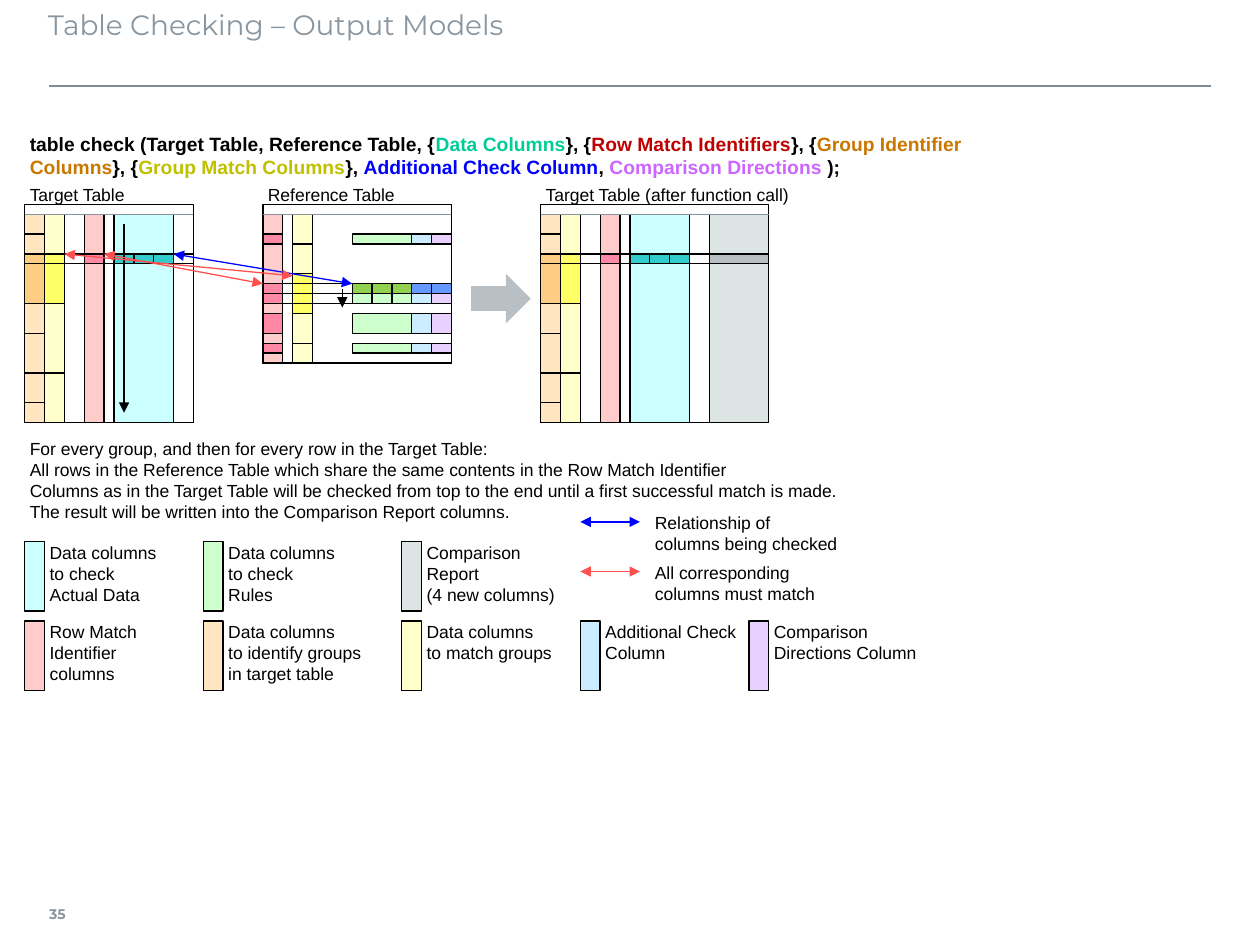
from lxml import etree
from pptx import Presentation
from pptx.dml.color import RGBColor
from pptx.enum.shapes import MSO_CONNECTOR, MSO_SHAPE
from pptx.enum.text import MSO_ANCHOR, PP_ALIGN
from pptx.oxml.ns import qn
from pptx.util import Cm, Inches, Pt

RECTANGLE, RIGHT_ARROW = MSO_SHAPE.RECTANGLE, MSO_SHAPE.RIGHT_ARROW
STRAIGHT = MSO_CONNECTOR.STRAIGHT
TOP, MIDDLE = MSO_ANCHOR.TOP, MSO_ANCHOR.MIDDLE
LEFT = PP_ALIGN.LEFT

BLACK, GREY, SLATE = "000000", "8996A0", "85939D"
BLUE, RED = "0000FF", "FF5050"
CYAN, CYAN_DARK = "CCFFFF", "33CCCC"
PINK, PINK_DARK = "FFCCCC", "FF88A4"
ORANGE, ORANGE_DARK = "FFE6C1", "FFCC84"
YELLOW, YELLOW_DARK = "FFFFCC", "FFFF66"
GREEN, GREEN_DARK = "CCFFCC", "92D050"
SKY, LILAC, CHECKED = "CCECFF", "E8D1FF", "6699FF"
REPORT, REPORT_DARK = "DCE5E4", "B8C0C6"

# Grid of 2 mm cells; column 0, row 0 is the top left corner of the target table
CELL, GRID_LEFT, GRID_TOP = 0.2, 0.5, 4.12

deck = Presentation()
deck.slide_width, deck.slide_height = Inches(10), Inches(7.5)
page = deck.slides.add_slide(deck.slide_layouts[5])


def place(column, row):
    return Cm(GRID_LEFT + CELL * column), Cm(GRID_TOP + CELL * row)


def write(box, lines, size, anchor, inset, font="Arial", bold=False):
    """Each line is a list of (text, colour) spans."""
    frame = box.text_frame
    frame.vertical_anchor = anchor
    frame.margin_left = frame.margin_right = Inches(inset[0])
    frame.margin_top = frame.margin_bottom = Inches(inset[1])
    for number, spans in enumerate(lines):
        para = frame.paragraphs[0] if number == 0 else frame.add_paragraph()
        para.alignment = LEFT
        for text, colour in spans:
            span = para.add_run()
            span.text = text
            span.font.name, span.font.size, span.font.bold = font, Pt(size), bold
            span.font.color.rgb = RGBColor.from_string(colour)


# Title, rule and page number
title = page.shapes.title
title.left, title.top, title.width, title.height = (
    Inches(0.38), Inches(0.01), Inches(9.21), Inches(0.63))
write(title, [[("Table Checking – Output Models", GREY)]], 16, TOP, (0, 0.05), "Montserrat")
rule = page.shapes.add_connector(
    STRAIGHT, Inches(0.39), Inches(0.68), Inches(9.61), Inches(0.68))
rule.line.color.rgb = RGBColor.from_string("808D97")
rule.line.width = Pt(1)
etree.SubElement(rule._element.spPr, qn("a:effectLst"))
number_box = page.shapes.add_textbox(Inches(0.39), Inches(7.06), Inches(0.35), Inches(0.39))
write(number_box, [[("35", GREY)]], 8, MIDDLE, (0, 0.05), "Montserrat", True)

# Rectangles: column, row, width, height, fill; lines: from, to, colour, ends
rectangles, lines = [], []

# Target table before and after the call
for left, width, match, data in [(0, 17, 6, 9), (52, 23, 6, 9)]:
    for column, light, dark, depth in [(2, YELLOW, YELLOW_DARK, 5),
                                       (0, ORANGE, ORANGE_DARK, 5),
                                       (match, PINK, PINK_DARK, 1)]:
        rectangles += [(left + column, 1, 2, 21, light), (left + column, 5, 2, depth, dark)]
    if width > 17:
        rectangles.append((left + 17, 1, 6, 21, REPORT))
    rectangles += [(left, 0, width, 22, None), (left, 1, 17, 21, None),
                   (left + data, 1, 6, 21, CYAN), (left, 5, width, 1, None)]
    rectangles += [(left + data + step, 5, 2, 1, CYAN_DARK) for step in (0, 2, 4)]
    if width > 17:
        rectangles.append((left + 17, 5, 6, 1, REPORT_DARK))
    lines += [(left, row, left + 2, row, BLACK, "") for row in (3, 13, 17, 20)]
    lines += [(left + 2, 17, left + 4, 17, BLACK, ""),
              (left, 1, left + width, 1, SLATE, "")]

# Reference table
rectangles += [(27, 1, 2, 15, YELLOW), (27, 7, 2, 4, YELLOW_DARK), (24, 1, 2, 15, PINK)]
for row, height, key_height in [(3, 1, 1), (8, 1, 2), (9, 1, 0), (11, 2, 2), (14, 1, 1)]:
    if key_height:
        rectangles.append((24, row, 2, key_height, PINK_DARK))
    active = row == 8
    rectangles += [(33, row, 6, height, GREEN_DARK if active else GREEN),
                   (39, row, 2, height, CHECKED if active else SKY),
                   (41, row, 2, height, CHECKED if active else LILAC)]
rectangles += [(24, 0, 19, 16, None), (24, 1, 19, 15, None),
               (24, 8, 17, 1, None), (24, 9, 17, 1, None)]
lines += [(27, row, 29, row, BLACK, "") for row in (4, 14)]
lines += [(column, 8, column, 10, BLACK, "") for column in (35, 37)]
lines.append((24, 1, 43, 1, SLATE, ""))

# Arrows inside and between the tables, then in the legend
lines += [(10, 2, 10, 21, BLACK, "tail"), (32, 8.5, 32, 10.4, BLACK, "tail"),
          (15, 5, 33, 8, BLUE, "head tail"), (8, 5, 24, 8, RED, "head tail"),
          (4, 5, 27, 7.2, RED, "head tail"),
          (56, 32, 62, 32, BLUE, "head tail"), (56, 37, 62, 37, RED, "head tail")]

# Legend: column, row, swatch, lines
legend = [
    (0, 34, CYAN, ["Data columns", "to check", "Actual Data"]),
    (18, 34, GREEN, ["Data columns", "to check", "Rules"]),
    (38, 34, REPORT, ["Comparison", "Report", "(4 new columns)"]),
    (0, 42, PINK, ["Row Match", "Identifier", "columns"]),
    (18, 42, ORANGE, ["Data columns", "to identify groups", "in target table"]),
    (38, 42, YELLOW, ["Data columns", "to match groups"]),
    (56, 42, SKY, ["Additional Check", "Column"]),
    (73, 42, LILAC, ["Comparison", "Directions Column"]),
]
rectangles += [(column, row, 2, 7, swatch) for column, row, swatch, _ in legend]

# Draw the rectangles, the block arrow and the lines
for column, row, width, height, fill in rectangles + [(45, 7, 6, 5, REPORT_DARK)]:
    is_arrow = column == 45
    shape = page.shapes.add_shape(RIGHT_ARROW if is_arrow else RECTANGLE, *place(column, row),
                                  Cm(CELL * width), Cm(CELL * height))
    shape.shadow.inherit = False
    if fill:
        shape.fill.solid()
        shape.fill.fore_color.rgb = RGBColor.from_string(fill)
    else:
        shape.fill.background()
    if is_arrow:
        shape.line.fill.background()
    else:
        shape.line.color.rgb = RGBColor.from_string(BLACK)
        shape.line.width = Pt(0.75)

for start_column, start_row, end_column, end_row, colour, ends in lines:
    line = page.shapes.add_connector(
        STRAIGHT, *place(start_column, start_row), *place(end_column, end_row))
    line.line.color.rgb = RGBColor.from_string(colour)
    line.line.width = Pt(0.75)
    for end in ends.split():
        etree.SubElement(line.line._get_or_add_ln(), qn(f"a:{end}End"), type="triangle")
    etree.SubElement(line._element.spPr, qn("a:effectLst"))

# Function signature
signature = [
    [("table check (Target Table, Reference Table, {", BLACK), ("Data Columns", "00CC99"),
     ("}, {", BLACK), ("Row Match Identifiers", "C00000"), ("}, {", BLACK),
     ("Group Identifier", "CA7700")],
    [("Columns", "CA7700"), ("}, {", BLACK), ("Group Match Columns", "C0C000"),
     ("}, ", BLACK), ("Additional Check Column", BLUE), (", ", BLACK),
     ("Comparison Directions", "CC66FF"), (" );", BLACK)],
]
box = page.shapes.add_textbox(*place(0, -6.9), Cm(CELL * 100), Cm(CELL * 4))
write(box, signature, 11, MIDDLE, (0.04, 0.04), bold=True)

# Table names, explanation and legend texts: column, row, width, height, anchor, inset, lines
texts = [(column, -2, width, 2, MIDDLE, 0.04, [name]) for column, width, name in [
    (0, 15, "Target Table"), (24, 15, "Reference Table"),
    (52, 27, "Target Table (after function call)")]]
texts.append((0, 23, 86, 5, TOP, 0.04, [
    "For every group, and then for every row in the Target Table:",
    "All rows in the Reference Table which share the same contents in the Row Match Identifier",
    "Columns as in the Target Table will be checked from top to the end"
    " until a first successful match is made.",
    "The result will be written into the Comparison Report columns."]))
texts += [(column + 2, row, 16, 7, TOP, 0, words) for column, row, _, words in legend]
texts += [(63, 31, 21, 5, TOP, 0, ["Relationship of", "columns being checked"]),
          (63, 36, 21, 5, TOP, 0, ["All corresponding", "columns must match"])]
for column, row, width, height, anchor, inset, words in texts:
    box = page.shapes.add_textbox(*place(column, row), Cm(CELL * width), Cm(CELL * height))
    write(box, [[(text, BLACK)] for text in words], 10, anchor, (0.04, inset))

deck.save("out.pptx")
